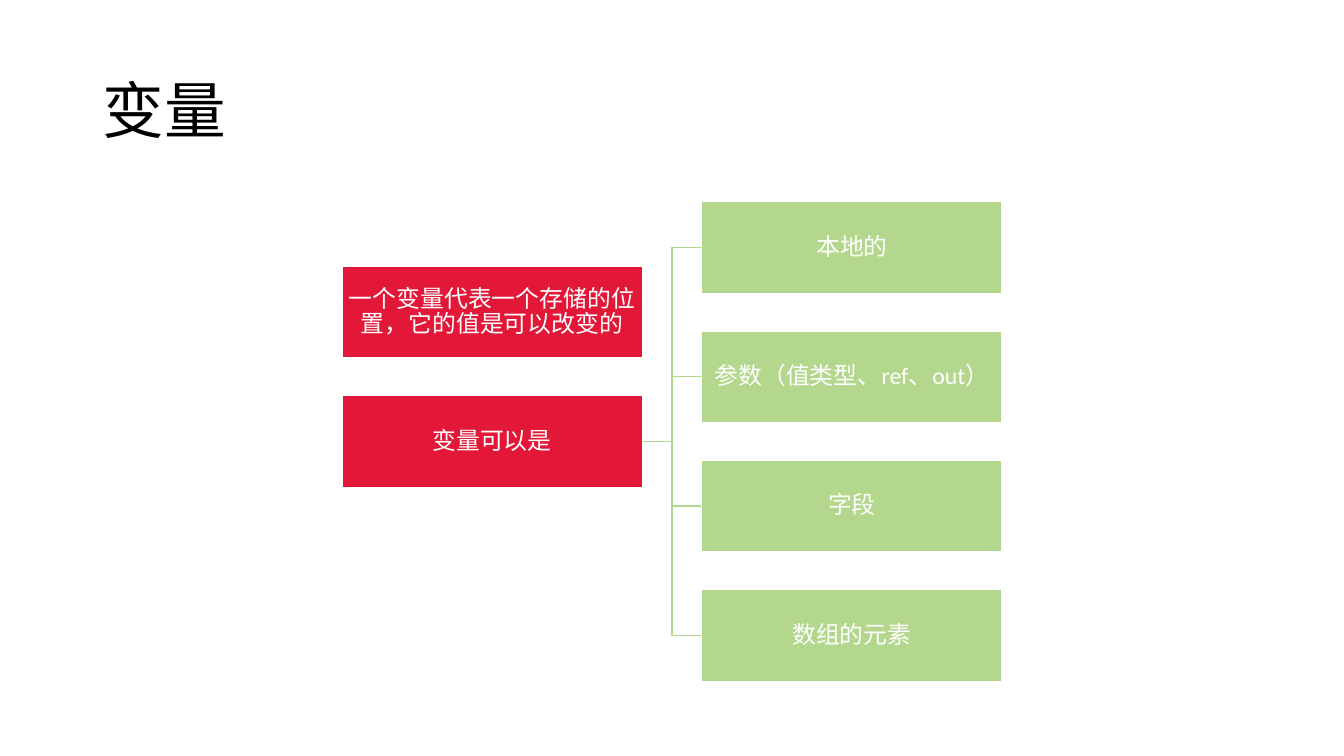
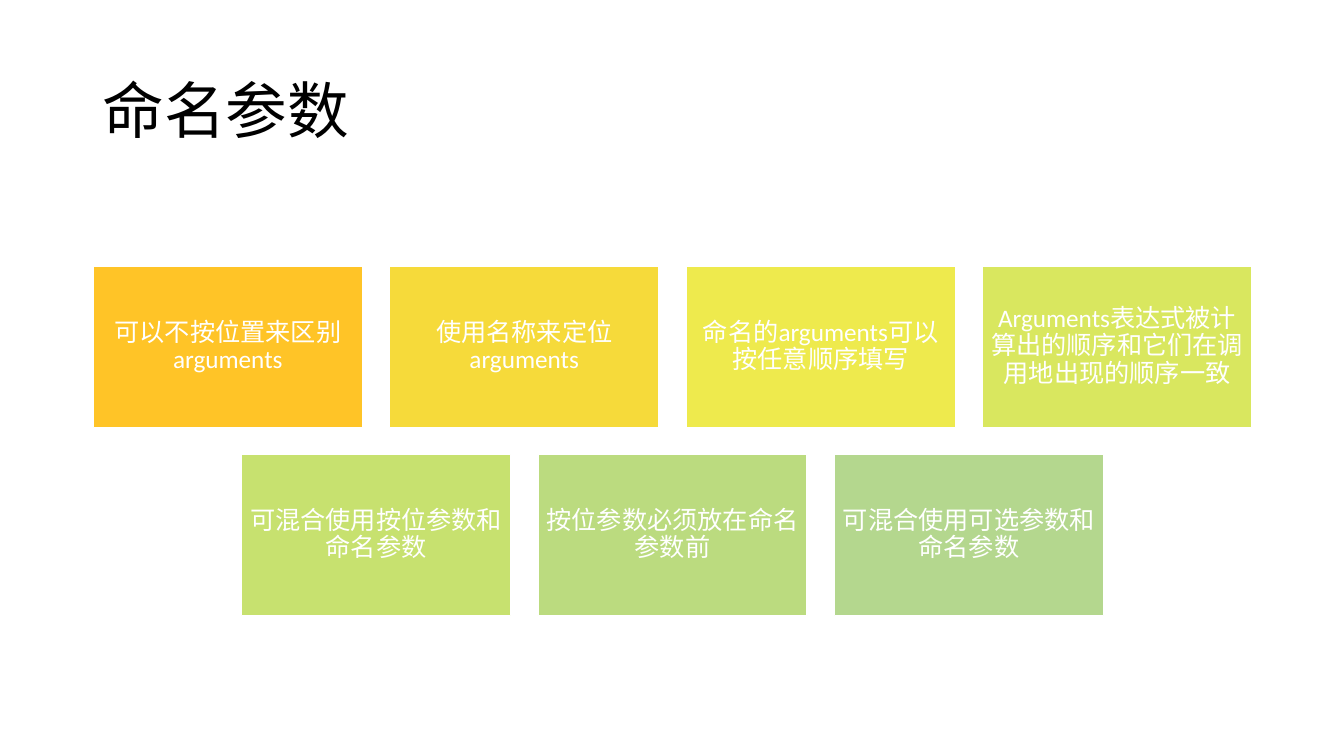
from lxml.etree import SubElement
from pptx import Presentation
from pptx.dml.color import RGBColor
from pptx.enum.shapes import MSO_CONNECTOR, MSO_SHAPE
from pptx.enum.text import MSO_ANCHOR, PP_ALIGN
from pptx.oxml.ns import qn
from pptx.util import Inches, Pt

COLORS = {
    "title": "000000",
    "white": "FFFFFF",
    "red": "E31737",
    "green": "B4D78E",
}
RAMP = ["FFC427", "F6DA3A", "EEEA4D", "D9E75F", "C7E16F", "BBDB7F", COLORS["green"]]
TITLE_FONT = "League Spartan"
BODY_FONT = "Calibri"

DEFINITIONS = ["一个变量代表一个存储的位置，它的值是可以改变的", "变量可以是"]
VARIABLE_KINDS = ["本地的", "参数（值类型、ref、out）", "字段", "数组的元素"]
NAMED_ARGUMENTS = [
    "可以不按位置来区别arguments",
    "使用名称来定位arguments",
    "命名的arguments可以按任意顺序填写",
    "Arguments表达式被计算出的顺序和它们在调用地出现的顺序一致",
    "可混合使用按位参数和命名参数",
    "按位参数必须放在命名参数前",
    "可混合使用可选参数和命名参数",
]


def rgb(color):
    return RGBColor.from_string(color)


def write(tf, text, size, font, color):
    tf.word_wrap = True
    tf.vertical_anchor = MSO_ANCHOR.MIDDLE
    tf.text = text
    p = tf.paragraphs[0]
    p.line_spacing = 0.9
    p.font.size = Pt(size)
    p.font.name = font
    p.font.color.rgb = rgb(color)
    return p


def add_titled_slide(prs, title):
    slide = prs.slides.add_slide(prs.slide_layouts[6])
    box = slide.shapes.add_textbox(Inches(0.92), Inches(0.4), Inches(11.5), Inches(1.45))
    write(box.text_frame, title, 44, TITLE_FONT, COLORS["title"])
    return slide


def add_block(slide, text, x, y, w, h, fill, size, inset):
    sp = slide.shapes.add_shape(
        MSO_SHAPE.RECTANGLE, Inches(x), Inches(y), Inches(w), Inches(h))
    sp.shadow.inherit = False
    sp.fill.solid()
    sp.fill.fore_color.rgb = rgb(fill)
    sp.line.color.rgb = rgb(COLORS["white"])
    sp.line.width = Pt(1)
    tf = sp.text_frame
    tf.margin_left = tf.margin_right = tf.margin_top = tf.margin_bottom = Inches(inset)
    write(tf, text, size, BODY_FONT, COLORS["white"]).alignment = PP_ALIGN.CENTER
    return sp


def add_elbow(slide):
    """Add an elbow line whose ends are joined to blocks later."""
    line = slide.shapes.add_connector(MSO_CONNECTOR.ELBOW, 0, 0, 0, 0)
    line.line.color.rgb = rgb(COLORS["green"])
    line.line.width = Pt(1)
    SubElement(line._element.spPr, qn("a:effectLst"))
    return line


def add_tree(slide, x, y, w, h, roots, children):
    """Stack the roots on the left; the last one branches to the children."""
    block_w, block_h = 2.98, 0.91
    pitch = (h - block_h) / (len(children) - 1)
    last_root_y = y + (h - block_h) / 2
    elbows = [add_elbow(slide) for _ in children]  # first, so blocks lie on top

    for i, text in enumerate(roots):
        root_y = last_root_y - (len(roots) - 1 - i) * pitch
        root = add_block(slide, text, x, root_y, block_w, block_h, COLORS["red"], 17, 0.01)

    for i, (text, elbow) in enumerate(zip(children, elbows)):
        child = add_block(slide, text, x + w - block_w, y + i * pitch,
                          block_w, block_h, COLORS["green"], 17, 0.01)
        elbow.begin_connect(root, 3)
        elbow.end_connect(child, 1)


def add_block_grid(slide, x, y, w, texts, fills, columns=4):
    """Fill rows of equal blocks, each row centred in the width."""
    block_w, block_h, gap = 2.67, 1.6, 0.27
    for start in range(0, len(texts), columns):
        row = texts[start:start + columns]
        row_w = len(row) * (block_w + gap) - gap
        left = x + (w - row_w) / 2
        top = y + start // columns * (block_h + gap)
        for i, text in enumerate(row):
            add_block(slide, text, left + i * (block_w + gap), top,
                      block_w, block_h, fills[start + i], 18, 0.07)


def main():
    prs = Presentation()
    prs.slide_width, prs.slide_height = Inches(13.33), Inches(7.5)

    slide = add_titled_slide(prs, "变量")
    add_tree(slide, 3.39, 2, 6.55, 4.76, DEFINITIONS, VARIABLE_KINDS)

    slide = add_titled_slide(prs, "命名参数")
    add_block_grid(slide, 0.92, 2.64, 11.5, NAMED_ARGUMENTS, RAMP)

    prs.save("out.pptx")


if __name__ == "__main__":
    main()
